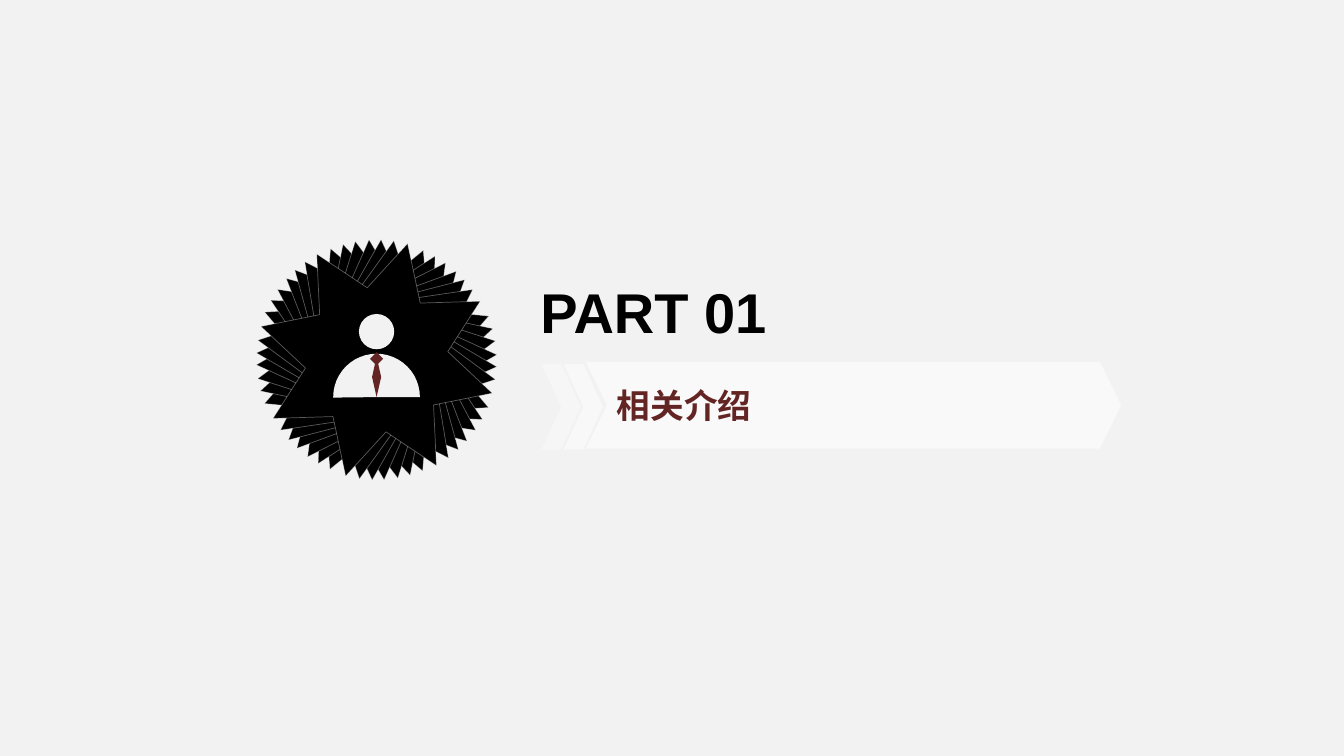
from dataclasses import dataclass

from lxml import etree
from pptx import Presentation
from pptx import util as u
from pptx.dml.color import RGBColor
from pptx.enum import shapes, text
from pptx.oxml.ns import qn

MSO = shapes.MSO_SHAPE


@dataclass(frozen=True)
class Theme:
    page: str = "F2F2F2"
    badge: str = "000000"
    light: str = "FFFFFF"
    accent: str = "632523"
    font: str = "Arial"
    title_size: int = 40
    label_size: int = 24
    outline: float = 0.5


THEME = Theme()
STAR_ANGLES = (23.1, 29.4, 35.4, 42, 47.7, 53.8, 60.5)


def set_color(fill, color, opacity=100):
    """Make a fill solid, with an opacity in percent."""
    fill.solid()
    fill.fore_color.rgb = RGBColor.from_string(color)
    if opacity < 100:
        srgb = fill._xPr.find(qn("a:solidFill")).find(qn("a:srgbClr"))
        etree.SubElement(srgb, qn("a:alpha"), val=str(opacity * 1000))


def add_shape(s, kind, box, color, opacity=100, adj=()):
    sp = s.shapes.add_shape(kind, *(u.Inches(v) for v in box))
    sp.shadow.inherit = False
    set_color(sp.fill, color, opacity)
    sp.line.fill.background()
    for i, value in enumerate(adj):
        sp.adjustments[i] = value
    return sp


def set_text(sp, words, size, color):
    tf = sp.text_frame
    tf.word_wrap = True
    tf.auto_size = text.MSO_AUTO_SIZE.NONE
    tf.vertical_anchor = text.MSO_ANCHOR.MIDDLE
    p = tf.paragraphs[0]
    p.alignment = text.PP_ALIGN.LEFT
    r = p.add_run()
    r.text = words
    r.font.name, r.font.size, r.font.bold = THEME.font, u.Pt(size), True
    r.font.color.rgb = RGBColor.from_string(color)


def centered(box, w, h, dx=0, dy=0):
    """Box of w by h, offset by dx and dy from the middle of another box."""
    x, y, bw, bh = box
    return x + (bw - w) / 2 + dx, y + (bh - h) / 2 + dy, w, h


def add_badge(s, box):
    """Fan of turned stars with a person in the middle."""
    for angle in STAR_ANGLES:
        star = add_shape(s, MSO.STAR_8_POINT, box, THEME.badge, adj=(0.3,))
        star.rotation = angle
        set_color(star.line.fill, THEME.light, 34)
        star.line.width = u.Pt(THEME.outline)
    add_shape(s, MSO.OVAL, centered(box, 1.33, 1.26), THEME.badge)
    add_person(s, centered(box, 0.86, 1.26, dy=0.17))


def add_person(s, box):
    # The pie angles give the upper half of a disc.
    add_shape(s, MSO.PIE, centered(box, 0.86, 0.86, dy=0.2), THEME.page,
              adj=(107.57, 0.1))
    for w, h, dy in ((0.09, 0.4, 0), (0.13, 0.13, -0.18)):
        add_shape(s, MSO.DIAMOND, centered(box, w, h, dy=dy), THEME.accent)
    add_shape(s, MSO.OVAL, centered(box, 0.35, 0.35, dy=-0.45), THEME.page)


def add_title(s, box, words):
    title = s.shapes.title
    title.left, title.top, title.width, title.height = map(u.Inches, box)
    set_text(title, words, THEME.title_size, THEME.badge)


def add_banner(s, box, words):
    """Wide labelled chevron led by two fainter, narrow ones."""
    x, y, w, h = box
    step = 0.22
    banner = add_shape(s, MSO.CHEVRON, (x + 2 * step, y, w - 2 * step, h),
                       THEME.light, 61, adj=(0.245,))
    set_text(banner, words, THEME.label_size, THEME.accent)
    for column, opacity in ((1, 49), (0, 32)):
        add_shape(s, MSO.CHEVRON, (x + column * step, y + 0.02, 0.39, h - 0.01),
                  THEME.light, opacity)


def add_section_slide(prs, part, name):
    s = prs.slides.add_slide(prs.slide_layouts[5])
    set_color(s.background.fill, THEME.page)
    add_badge(s, (2.53, 2.39, 2.41, 2.36))
    add_title(s, (5.26, 2.66, 4.69, 0.86), part)
    add_banner(s, (5.37, 3.59, 5.75, 0.86), name)


def main():
    prs = Presentation()
    prs.slide_width, prs.slide_height = u.Inches(13.33), u.Inches(7.5)
    add_section_slide(prs, "PART 01", "相关介绍")
    prs.save("out.pptx")


if __name__ == "__main__":
    main()
